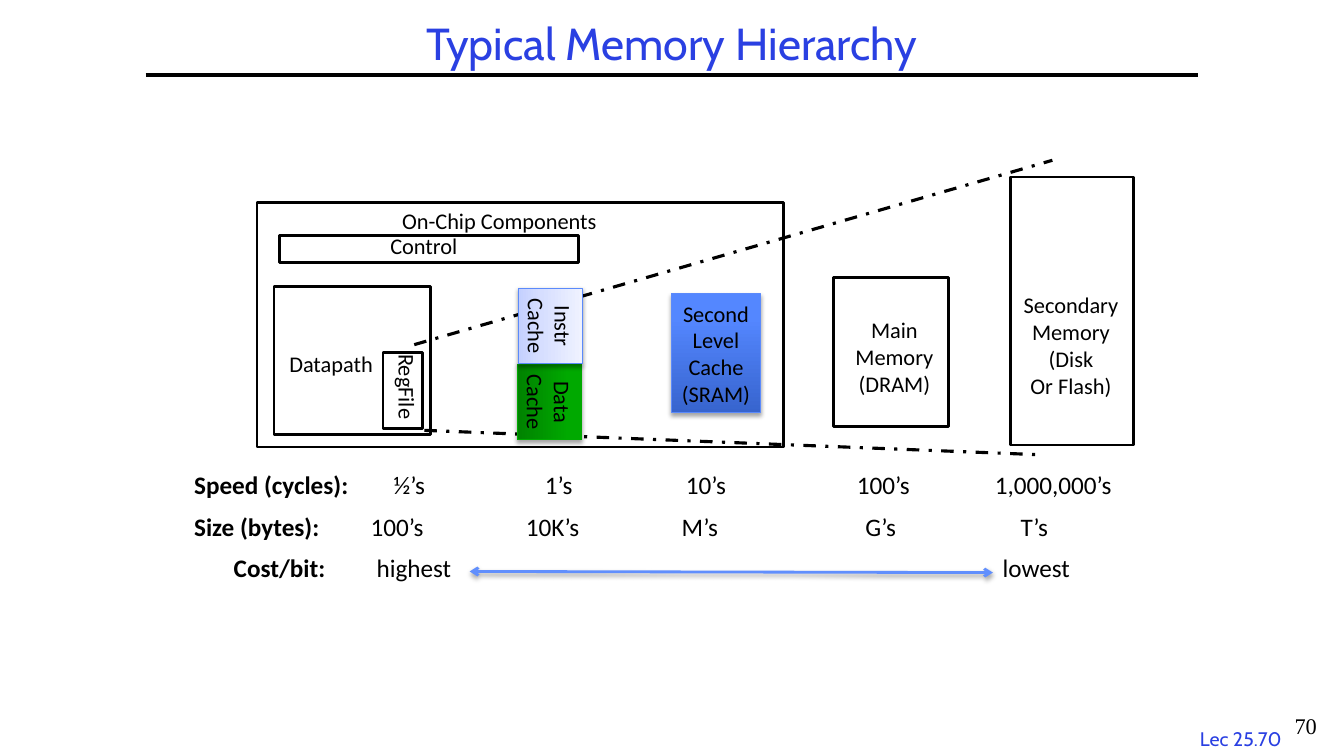
from lxml import etree
from pptx import Presentation
from pptx import util as u
from pptx.dml.color import RGBColor
from pptx.enum import dml, shapes, text
from pptx.oxml import parse_xml
from pptx.oxml.ns import nsdecls, qn

TITLE = "Typical Memory Hierarchy"
TITLE_FRAME = (104, 12.2, 751.7, 41.8)
TITLE_RULE = (104, 53.8, 855.7, 53.8)

OUTLINES = [
    (199.4, 168.3, 213.8, 19.4),
    (195.8, 204.5, 111.9, 105.8),
    (721.8, 126.4, 87.8, 191.5),
    (183.6, 144.7, 375.8, 174.6),
    (273.6, 251.8, 28.1, 54.5),
    (595.4, 198.4, 82.1, 106.5),
]
CAPTIONS = [
    ("Control", (271.7, 162.4, 62.6, 26.6), "left", 0),
    ("Datapath", (199.6, 246.5, 74.9, 26.6), "left", 0),
    ("Secondary\nMemory\n(Disk\nOr Flash)", (723.6, 204.5, 82.8, 85), "center", 0),
    ("On-Chip Components", (280.1, 144.3, 154.8, 26.6), "left", 0),
    ("RegFile", (251.3, 272.9, 79.9, 25.9), "left", 90),
    ("Main\nMemory\n(DRAM)", (602.9, 222.5, 72, 64.8), "center", 0),
]
FAN_LINES = [(295.9, 246.2, 751.7, 114.5), (303.1, 307.4, 739.4, 324.7)]
CACHES = [
    ("Second\nLevel\nCache\n(SRAM)", (479.7, 209.9, 63.4, 85), 0, "second"),
    ("Data\nCache", (365.4, 264.2, 54, 46), 90, "data"),
    ("Instr\nCache", (366, 209.9, 54, 46), 90, "instr"),
]
ROW_LEFT, ROW_WIDTH, ROW_HEIGHT, ROW_INSET = 133.7, 690, 23, 5
ROWS = [
    (336.2, [("Speed (cycles):", 138.7), ("½’s", 281.1), ("1’s", 389.3),
             ("10’s", 490), ("100’s", 612), ("1,000,000’s", 710.7)]),
    (366.5, [("Size (bytes):", 138.7), ("100’s", 264.8), ("10K’s", 375.7),
             ("M’s", 487), ("G’s", 618.2), ("T’s", 729)]),
    (395.3, [("Cost/bit:", 167), ("highest", 269), ("lowest", 716.2)]),
]
COST_ARROW = (335.5, 408.2, 709.2, 409)
LECTURE = ("Lec 25.70", (847.4, 515.5, 77.8, 23.8))
PAGE = ("70", (912.2, 505.4, 41, 27.4))

THEME = {
    "ink": "000000", "accent": "2A40E2", "arrow": "618FFD",
    "heading_font": "Cabin", "body_font": "Calibri", "page_font": "Times New Roman",
    "title": 32, "row": 18, "body": 16, "lecture": 14,
    "second": ("5B8AFB", [(0, "3764CE"), (80, "5487FF"), (100, "5688FF")]),
    "data": ("00AA00", [(0, "008200"), (80, "00A900"), (100, "00A900")]),
    "instr": ("5B8AFB", [(0, "C4D0FF"), (35, "D6DEFF"), (100, "EFF2FF")]),
}
ALIGN = {"left": text.PP_ALIGN.LEFT, "center": text.PP_ALIGN.CENTER}


def points(values):
    return [u.Pt(value) for value in values]


def style_text(frame, align, font="body_font", size="body", color="ink"):
    for paragraph in frame.paragraphs:
        paragraph.alignment = ALIGN[align]
        paragraph.font.name = THEME[font]
        paragraph.font.size = u.Pt(THEME[size])
        paragraph.font.color.rgb = RGBColor.from_string(THEME[color])


def add_text(slide, words, box, align="center", rotation=0, wrap=False, **style):
    shape = slide.shapes.add_textbox(*points(box))
    shape.rotation = rotation
    frame = shape.text_frame
    frame.text = words
    frame.word_wrap = wrap
    frame.auto_size = text.MSO_AUTO_SIZE.SHAPE_TO_FIT_TEXT
    style_text(frame, align, **style)


def add_shadow(shape):
    properties = shape._element.spPr
    for effects in properties.findall(qn("a:effectLst")):
        properties.remove(effects)
    properties.append(parse_xml(
        f'<a:effectLst {nsdecls("a")}><a:outerShdw blurRad="{u.Pt(3.1)}" dist="{u.Pt(1.8)}" '
        'dir="5400000" rotWithShape="0"><a:srgbClr val="000000"><a:alpha val="35000"/>'
        '</a:srgbClr></a:outerShdw></a:effectLst>'))


def add_line(slide, ends, width, color="ink"):
    line = slide.shapes.add_connector(shapes.MSO_CONNECTOR.STRAIGHT, *points(ends))
    line.line.width = u.Pt(width)
    line.line.color.rgb = RGBColor.from_string(THEME[color])
    etree.SubElement(line._element.spPr, qn("a:effectLst"))
    return line


def add_box(slide, box, color, width):
    shape = slide.shapes.add_shape(shapes.MSO_SHAPE.RECTANGLE, *points(box))
    shape.shadow.inherit = False
    shape.fill.background()
    shape.line.color.rgb = RGBColor.from_string(color)
    shape.line.width = u.Pt(width)
    return shape


def add_cache(slide, words, box, rotation, look):
    border, stops = THEME[look]
    shape = add_box(slide, box, border, 0.75)
    shape.rotation = rotation
    properties = shape._element.spPr
    stop_list = "".join(f'<a:gs pos="{place * 1000}"><a:srgbClr val="{color}"/></a:gs>'
                        for place, color in stops)
    properties.replace(properties.find(qn("a:noFill")), parse_xml(
        f'<a:gradFill {nsdecls("a")} rotWithShape="1"><a:gsLst>{stop_list}</a:gsLst>'
        '<a:lin ang="16200000" scaled="0"/></a:gradFill>'))
    add_shadow(shape)
    shape.text_frame.text = words
    shape.text_frame.word_wrap = False
    style_text(shape.text_frame, "center")


def add_row(slide, top, cells):
    shape = slide.shapes.add_textbox(*points((ROW_LEFT, top, ROW_WIDTH, ROW_HEIGHT)))
    frame = shape.text_frame
    frame.word_wrap = True
    frame.margin_left = frame.margin_right = u.Pt(ROW_INSET)
    frame.margin_top = frame.margin_bottom = u.Pt(2.2)
    paragraph = frame.paragraphs[0]
    paragraph.line_spacing = 0.85
    offsets = [round(left - ROW_LEFT - ROW_INSET, 2) for _, left in cells]
    tabs = etree.SubElement(paragraph._p.get_or_add_pPr(), qn("a:tabLst"))
    for index, ((words, _), offset) in enumerate(zip(cells, offsets)):
        if offset > 0:
            etree.SubElement(tabs, qn("a:tab"), pos=str(u.Pt(offset)), algn="l")
        run = paragraph.add_run()
        run.text = ("\t" if offset > 0 else "") + words
        run.font.bold = index == 0
    style_text(frame, "left", size="row")


def main():
    """Build the memory hierarchy slide."""
    presentation = Presentation()
    presentation.slide_width, presentation.slide_height = u.Pt(960), u.Pt(540)
    slide = presentation.slides.add_slide(presentation.slide_layouts[5])

    title = slide.shapes.title
    title.left, title.top, title.width, title.height = points(TITLE_FRAME)
    title.text_frame.text = TITLE
    title.text_frame.vertical_anchor = text.MSO_ANCHOR.MIDDLE
    title.text_frame.paragraphs[0].line_spacing = 0.9
    style_text(title.text_frame, "center", "heading_font", "title", "accent")
    add_line(slide, TITLE_RULE, 3)

    for box in OUTLINES:
        add_box(slide, box, THEME["ink"], 2)
    for words, box, align, rotation in CAPTIONS:
        add_text(slide, words, box, align, rotation, wrap=rotation != 0)
    for ends in FAN_LINES:
        add_line(slide, ends, 2.25).line.dash_style = dml.MSO_LINE.DASH_DOT
    for cache in CACHES:
        add_cache(slide, *cache)

    for top, cells in ROWS:
        add_row(slide, top, cells)
    arrow = add_line(slide, COST_ARROW, 2, "arrow")
    for end in ("a:headEnd", "a:tailEnd"):
        etree.SubElement(arrow.line._get_or_add_ln(), qn(end), type="arrow")
    add_shadow(arrow)

    add_text(slide, *LECTURE, font="heading_font", size="lecture", color="accent")
    add_text(slide, *PAGE, wrap=True, font="page_font")
    presentation.save("out.pptx")


if __name__ == "__main__":
    main()
